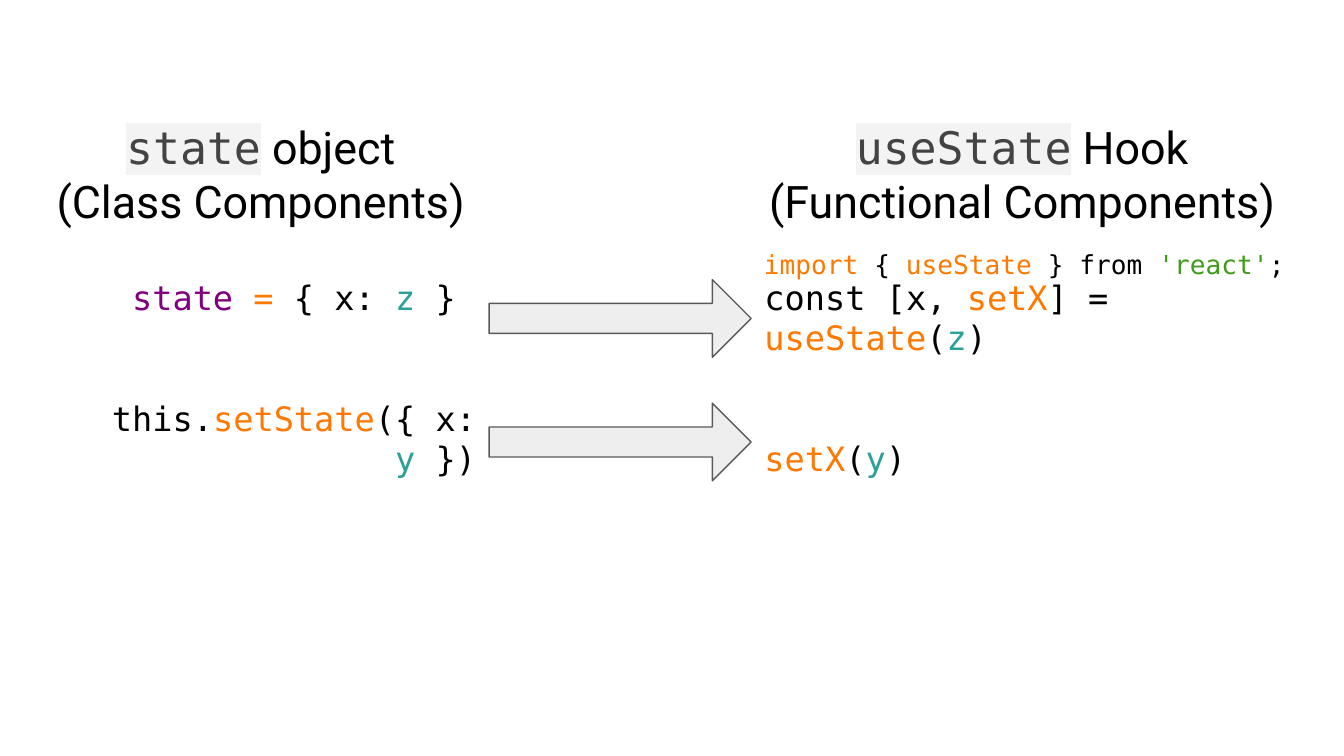
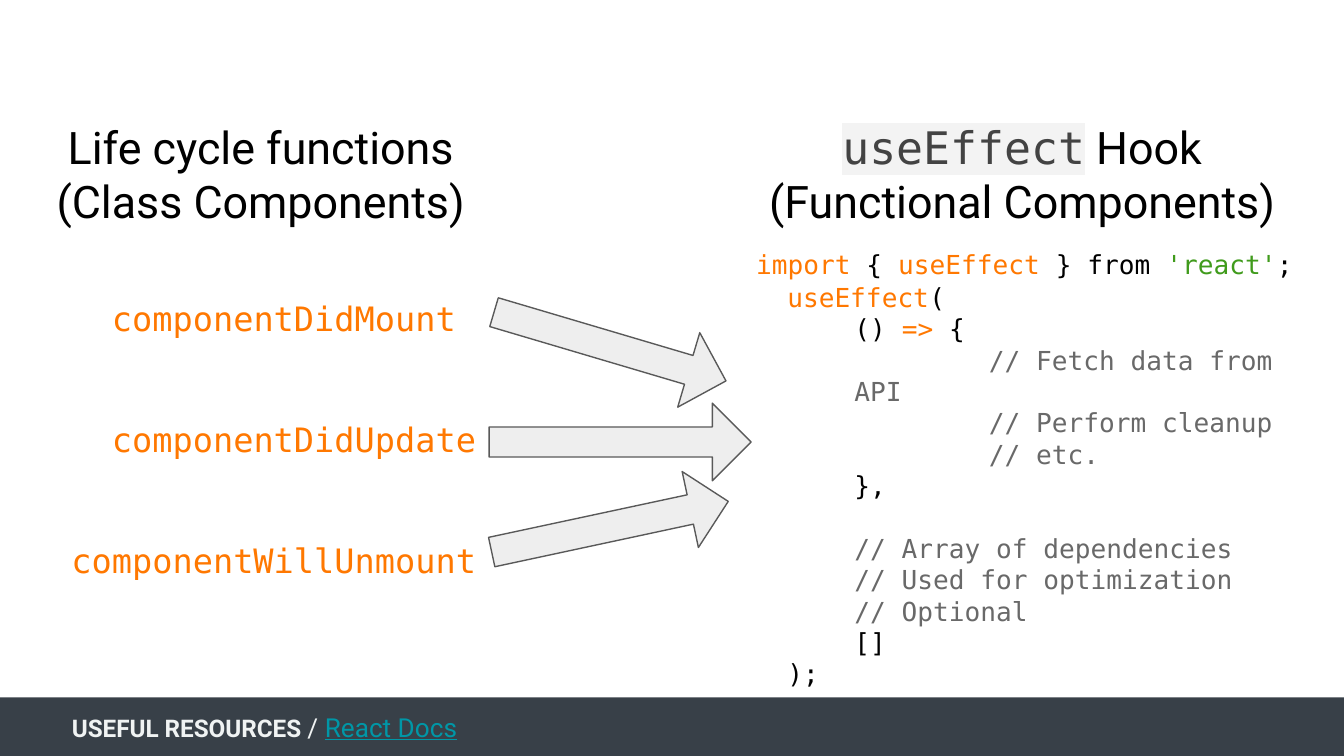
from pptx import Presentation
from pptx.dml.color import RGBColor
from pptx.enum.shapes import MSO_SHAPE
from pptx.enum.text import MSO_ANCHOR, PP_ALIGN
from pptx.util import Pt
from lxml.etree import SubElement
from pptx.oxml.ns import qn

HUES = {
    "black": "000000", "purple": "800080", "orange": "FF7800",
    "teal": "2AA198", "green": "409B1C", "gray": "696969",
    "dark": "434343", "pale": "F3F3F3", "arrow": "EEEEEE",
    "edge": "595959", "band": "384048", "light": "F0F3F3",
    "link": "0097A7",
}
MONO, SANS = "DejaVu Sans Mono", "Roboto"
LEFT, CENTER, RIGHT = PP_ALIGN.LEFT, PP_ALIGN.CENTER, PP_ALIGN.RIGHT
MIDDLE, TOP, BOTTOM = MSO_ANCHOR.MIDDLE, MSO_ANCHOR.TOP, MSO_ANCHOR.BOTTOM

# Shared columns and rows
LEFT_X, LEFT_W = 17.3, 244.8
MID_X, RIGHT_X = 262, 402.5
CODE_Y = 159.1
GAP = 43.2  # two lines of 18 pt code


def rgb(hue):
    return RGBColor.from_string(HUES[hue])


def write(line, text, hue="black", size=18, font=MONO, mark=None,
          bold=False, under=False):
    """Add one formatted run to a paragraph."""
    run = line.add_run()
    run.text = text
    face = run.font
    face.size, face.bold, face.underline = Pt(size), bold, under
    face.color.rgb = rgb(hue)
    if mark:
        tag = SubElement(run._r.get_or_add_rPr(), qn("a:highlight"))
        SubElement(tag, qn("a:srgbClr"), val=HUES[mark])
    face.name = font


def row(*runs, **form):
    """Describe a paragraph: runs are (text, hue), form is its layout."""
    return runs, form


class Deck:
    def __init__(self):
        self.show = Presentation()
        self.show.slide_width, self.show.slide_height = Pt(720), Pt(405)
        self.page = None

    def slide(self):
        self.page = self.show.slides.add_slide(self.show.slide_layouts[6])

    def fill(self, frame, rows, anchor=MIDDLE, align=LEFT, **style):
        frame.word_wrap = True
        frame.vertical_anchor = anchor
        frame.margin_left = frame.margin_right = Pt(7.2)
        frame.margin_top = frame.margin_bottom = Pt(7.2)
        for i, (runs, form) in enumerate(rows):
            line = frame.add_paragraph() if i else frame.paragraphs[0]
            line.alignment = align
            line.line_spacing = form.get("pitch", 1.0)
            line.space_before = Pt(form.get("before", 0))
            props = line._p.get_or_add_pPr()
            props.set("marL", str(Pt(form.get("left", 0))))
            props.set("indent", str(Pt(form.get("first", 0))))
            for text, hue, *more in runs:
                write(line, text, hue, **{**style, **(more[0] if more else {})})

    def text(self, x, y, w, h, rows, **style):
        box = self.page.shapes.add_textbox(Pt(x), Pt(y), Pt(w), Pt(h))
        self.fill(box.text_frame, rows, **style)

    def shape(self, kind, x, y, w, h, hue):
        item = self.page.shapes.add_shape(kind, Pt(x), Pt(y), Pt(w), Pt(h))
        item.shadow.inherit = False
        item.fill.solid()
        item.fill.fore_color.rgb = rgb(hue)
        item.line.fill.background()
        return item

    def arrow(self, y, w=140.4, turn=0):
        item = self.shape(MSO_SHAPE.RIGHT_ARROW, MID_X, y, w, 41.6, "arrow")
        item.adjustments[0], item.adjustments[1] = 0.386, 0.5
        item.line.color.rgb = rgb("edge")
        item.line.width = Pt(0.75)
        item.rotation = turn

    def heads(self, left, hook):
        """Column headings and the import line under the right one."""
        right = [(hook, "dark", TAG), (" Hook", "black")]
        cols = ((LEFT_X, LEFT_W, left, "(Class Components)"),
                (RIGHT_X, 290.2, right, "(Functional Components)"))
        for x, w, top, sub in cols:
            self.text(x, 49.7, w, 86.4, [row(*top), row((sub, "black"))],
                      align=CENTER, size=24, font=SANS)
        line = row(("import", "orange"), (" { ", "black"), (hook, "orange"),
                   (" } from ", "black"), ("'react'", "green"),
                   (";", "black"), left=3, pitch=1.5)
        self.text(391, 117.4, 312.5, 37.4, [line], anchor=TOP,
                  align=CENTER, size=14)

    def footer(self, *runs):
        band = self.shape(MSO_SHAPE.RECTANGLE, 0, 373.7, 720, 31.3, "band")
        self.fill(band.text_frame, [row(*runs, left=31.5)], anchor=BOTTOM,
                  size=14, font=SANS)


TAG = {"font": MONO, "mark": "pale"}


def state(deck):
    deck.slide()
    # Class code
    deck.text(LEFT_X, CODE_Y, LEFT_W, 86.4, [
        row(("state ", "purple"), ("=", "orange"), (" { x: ", "black"),
            ("z ", "teal"), ("} ", "black")),
        row(("this.", "black"), ("setState", "orange"), ("({ x: ", "black"),
            ("y", "teal"), (" })", "black"), before=GAP),
    ], align=RIGHT)
    # Hook code
    deck.text(RIGHT_X, 101.5, 312.5, 201.6, [
        row(("const [x, ", "black"), ("setX", "orange"), ("] = ", "black"),
            ("useState", "orange"), ("(", "black"), ("z", "teal"),
            (")", "black")),
        row(("setX", "orange"), ("(", "black"), ("y", "teal"),
            (")", "black"), before=GAP),
    ])
    for y in (149.8, 216):
        deck.arrow(y)
    deck.heads([("state", "dark", TAG), (" object", "black")], "useState")


def effect(deck):
    deck.slide()
    # Life cycle names
    names = ("componentDidMount ", "componentDidUpdate",
             "componentWillUnmount")
    deck.text(LEFT_X, CODE_Y, LEFT_W, 151.9,
              [row((name, "orange"), before=GAP if i else 0)
               for i, name in enumerate(names)], align=RIGHT)
    # Hook code
    tasks = ("// Fetch data from API", "// Perform cleanup", "// etc.")
    notes = ("// Array of dependencies", "// Used for optimization",
             "// Optional")
    deck.text(414.7, 187.9, 283.7, 144, [
        row(("useEffect", "orange"), ("(", "black")),
        row(("() ", "black"), ("=> ", "orange"), ("{", "black"), left=36),
        *[row((task, "gray"), left=36, first=72) for task in tasks],
        row(("},", "black"), left=36),
        *[row((note, "gray"), left=36, before=0 if i else 16.8)
          for i, note in enumerate(notes)],
        row(("[]", "black"), left=36),
        row((");", "black")),
    ], size=14)
    # Arrows that meet at the hook
    deck.arrow(164.9, 129.6, 16.5)
    deck.arrow(216)
    deck.arrow(261.4, 129.6, 347.9)
    deck.heads([("Life cycle functions", "black")], "useEffect")
    deck.footer(("USEFUL RESOURCES", "light", {"size": 13, "bold": True}),
                (" / ", "light"), ("React Docs", "link", {"under": True}))


def main():
    deck = Deck()
    state(deck)
    effect(deck)
    deck.show.save("out.pptx")


if __name__ == "__main__":
    main()
